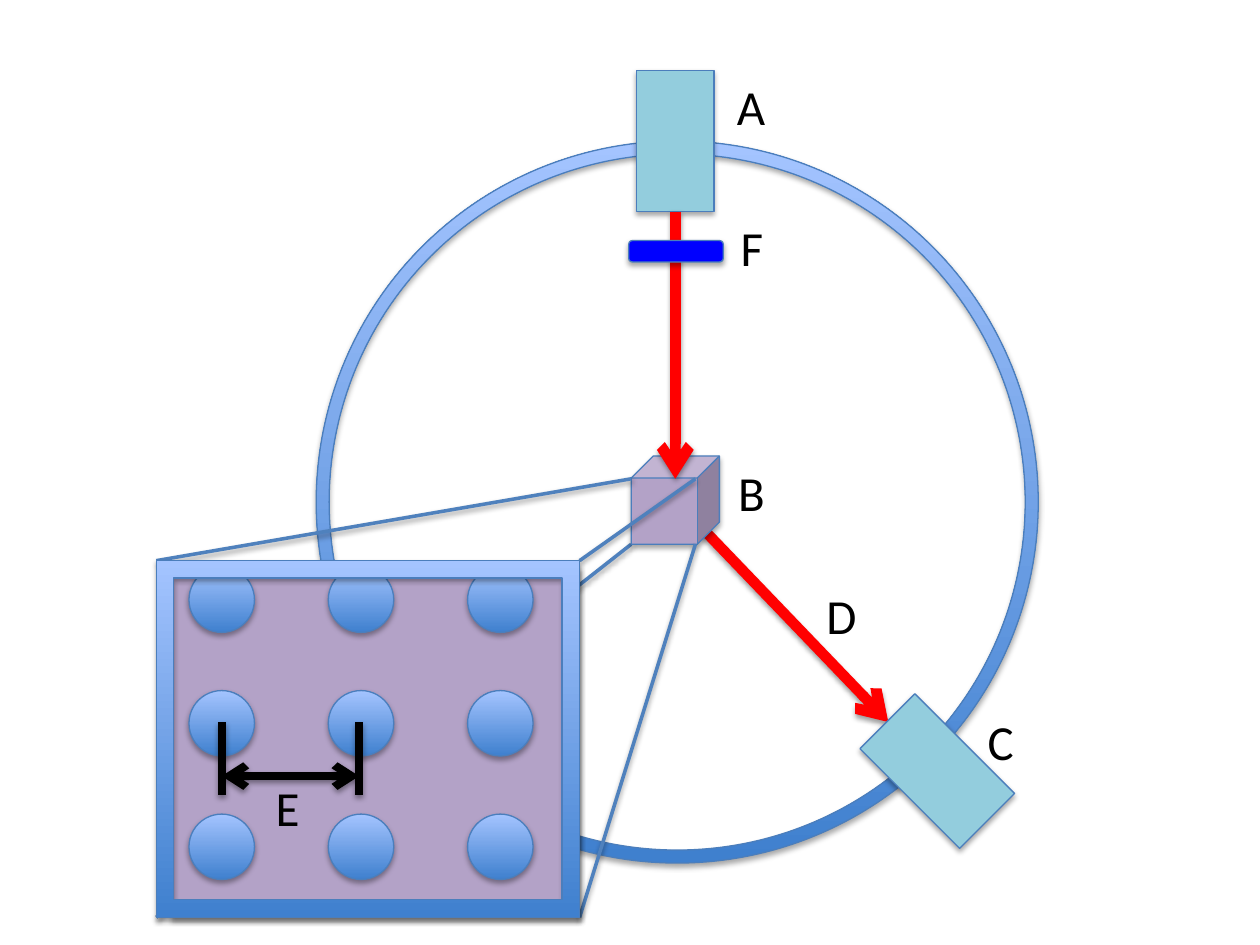
from lxml import etree
from pptx import Presentation
from pptx import util as u
from pptx.dml.color import RGBColor
from pptx.enum import shapes, text
from pptx.oxml import ns

BLACK = RGBColor(0, 0, 0)
RED = RGBColor(0xFF, 0, 0)
BLUE = RGBColor(0, 0, 0xFF)
LINE_BLUE = RGBColor(0x4F, 0x81, 0xBD)
EDGE_BLUE = RGBColor(0x4B, 0x7E, 0xBC)
AQUA = RGBColor(0x93, 0xCD, 0xDD)
PURPLE = RGBColor(0xB3, 0xA2, 0xC7)
GRADIENT = (RGBColor(0x3F, 0x80, 0xCE), RGBColor(0xA4, 0xC4, 0xFF))

KIND = shapes.MSO_SHAPE


def child(parent, tag, **attributes):
    """Append a DrawingML element and return it."""
    element = etree.SubElement(parent, ns.qn("a:" + tag))
    for name, value in attributes.items():
        element.set(name, str(value))
    return element


def apply(target, formats):
    """Set each named attribute on the target."""
    for name, value in formats.items():
        setattr(target, name, value)


class Diagram:
    """Holds the style and the current slide."""

    font = {"name": "Calibri", "size": u.Pt(28)}
    frame = {"word_wrap": False, "auto_size": text.MSO_AUTO_SIZE.SHAPE_TO_FIT_TEXT}
    edge = 0.75

    def __init__(self, page):
        """Start drawing on a page."""
        self.page = page

    def shadow(self, effects, distance, opacity):
        """Put a soft downward shadow into an effect list."""
        outer = child(effects, "outerShdw", blurRad=u.Pt(3.1), dist=u.Pt(distance),
                      dir=90 * 60000, rotWithShape=0)
        color = child(outer, "srgbClr", val=BLACK)
        child(color, "alpha", val=opacity * 1000)

    def shape(self, kind, left, top, width, height, fill=GRADIENT, group=None,
              adjust=None, rotation=0):
        """Draw a preset shape with a solid or gradient fill."""
        owner = group or self.page
        box = owner.shapes.add_shape(
            kind, u.Pt(left), u.Pt(top), u.Pt(width), u.Pt(height))
        box.rotation = rotation
        if adjust is not None:
            box.adjustments[0] = adjust
        if fill is GRADIENT:
            box.fill.gradient()
            box.fill.gradient_angle = 90
            for stop, color in zip(box.fill.gradient_stops, GRADIENT):
                stop.color.rgb = color
            for stop, position in zip(box.fill.gradient_stops, (0, 1)):
                stop.position = position
        else:
            box.fill.solid()
            box.fill.fore_color.rgb = fill
        box.line.color.rgb = EDGE_BLUE
        box.line.width = u.Pt(self.edge)
        box.shadow.inherit = False
        self.shadow(box.element.spPr.find(ns.qn("a:effectLst")), 1.8, 35)

    def line(self, start, end, color, width, arrows=()):
        """Draw a straight line with arrowheads at the named ends."""
        points = [u.Pt(value) for value in (*start, *end)]
        link = self.page.shapes.add_connector(shapes.MSO_CONNECTOR.STRAIGHT, *points)
        link.line.color.rgb = color
        link.line.width = u.Pt(width)
        properties = link.element.spPr
        for arrow in arrows:
            child(properties.find(ns.qn("a:ln")), arrow, type="arrow")
        self.shadow(child(properties, "effectLst"), 1.6, 38)

    def label(self, letter, left, top):
        """Write a one-letter label."""
        box = self.page.shapes.add_textbox(u.Pt(left), u.Pt(top), u.Pt(30), u.Pt(41))
        apply(box.text_frame, self.frame)
        span = box.text_frame.paragraphs[0].add_run()
        span.text = letter
        apply(span.font, self.font)
        span.font.color.rgb = BLACK


deck = Presentation()
deck.slide_width, deck.slide_height = u.Pt(720), u.Pt(540)
page = deck.slides.add_slide(deck.slide_layouts[6])
diagram = Diagram(page)

# Inset and sample corners, shared by the zoom lines
inset_left, inset_top, inset_width, inset_height = 89.3, 320.4, 241.9, 203.8
inset_right, inset_bottom = inset_left + inset_width, inset_top + inset_height
sample_left, sample_right, sample_top, sample_bottom = 360.7, 397.4, 273.6, 311
beam_x = 385.9


def zoom(start, end):
    """Join a sample corner to an inset corner."""
    diagram.line(start, end, LINE_BLUE, 2)


# Ring, source, detector and sample
zoom((sample_left, sample_bottom), (inset_left, inset_bottom))
diagram.line((beam_x, 285.8), (507.6, 412.6), RED, 6, ["tailEnd"])
diagram.shape(KIND.DONUT, 180.7, 80.6, 412.6, 412.6, adjust=0.018)
for left, top, rotation in ((363.6, 40.3, 0), (513.4, 400.3, 315)):
    diagram.shape(KIND.RECTANGLE, left, top, 44.4, 80.6, AQUA, rotation=rotation)
diagram.shape(KIND.CUBE, sample_left, 260.6, 50.4, 50.4, PURPLE)
diagram.line((beam_x, 121), (beam_x, sample_top), RED, 6, ["tailEnd"])

zoom((sample_left, sample_top), (inset_left, inset_top))
zoom((sample_right, sample_bottom), (inset_right, inset_bottom))
zoom((sample_right, sample_top), (inset_right, inset_top))

# Enlarged lattice
inset = page.shapes.add_group_shape()
diagram.shape(KIND.RECTANGLE, 97.9, 324, 233.3, 200.2, PURPLE, inset)
for row in range(3):
    for column in range(3):
        diagram.shape(KIND.OVAL, 108 + 79.6 * column, 324 + 70.6 * row,
                      37.4, 37.4, group=inset)
diagram.shape(KIND.FRAME, inset_left, inset_top, inset_width, inset_height,
              group=inset, adjust=0.049)

# Filter and spacing marker
diagram.shape(KIND.ROUNDED_RECTANGLE, 359.3, 137.5, 54, 12.2, BLUE)
spacing = (126.7, 205.2)
for x in spacing:
    diagram.line((x, 412.6), (x, 454.3), BLACK, 4.5)
diagram.line((spacing[0], 443.5), (spacing[1], 443.5), BLACK, 4.5,
             ["headEnd", "tailEnd"])

for letter, left, top in (
    ("A", 414, 40.3), ("B", 414.7, 260.6), ("C", 557.3, 403.2),
    ("D", 465.1, 331.2), ("F", 416.2, 121), ("E", 150.5, 440.6),
):
    diagram.label(letter, left, top)

deck.save("out.pptx")
